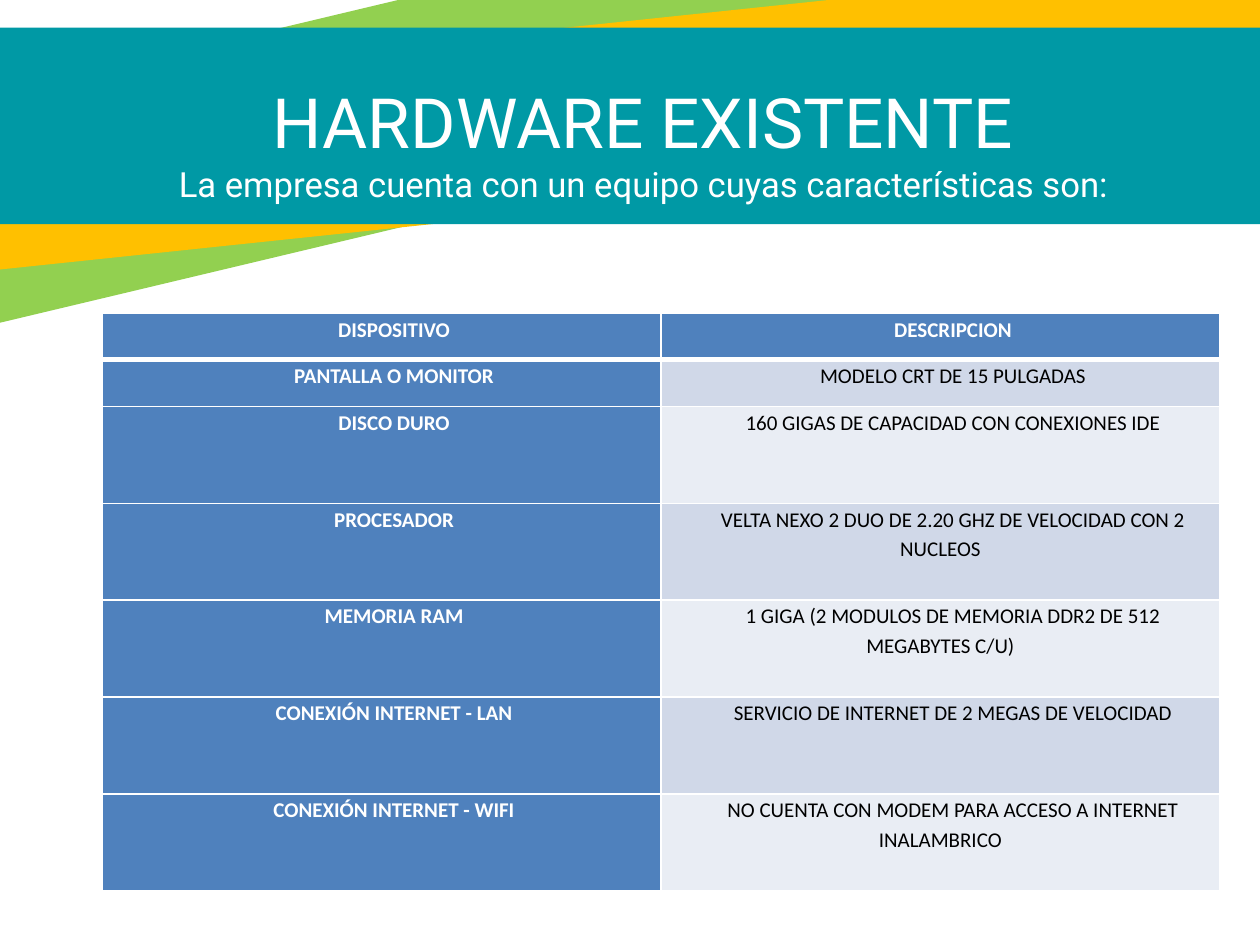
from lxml import etree
from pptx import Presentation
from pptx.dml.color import RGBColor
from pptx.enum import shapes, text
from pptx.oxml import ns
from pptx.util import Pt

HUES = {"green": "92D050", "gold": "FFC000", "teal": "0099A5", "blue": "4F81BD",
        "mid": "D0D8E8", "pale": "E9EDF4", "white": "FFFFFF", "black": "000000"}
ROWS = [
    ("DISPOSITIVO", "DESCRIPCION"),
    ("PANTALLA O MONITOR", "MODELO CRT DE 15 PULGADAS"),
    ("DISCO DURO", "160 GIGAS DE CAPACIDAD CON CONEXIONES IDE"),
    ("PROCESADOR", "VELTA NEXO 2 DUO DE 2.20 GHZ DE VELOCIDAD CON 2 NUCLEOS"),
    ("MEMORIA RAM", "1 GIGA (2 MODULOS DE MEMORIA DDR2 DE 512 MEGABYTES C/U)"),
    ("CONEXIÓN INTERNET - LAN", "SERVICIO DE INTERNET DE 2 MEGAS DE VELOCIDAD"),
    ("CONEXIÓN INTERNET - WIFI", "NO CUENTA CON MODEM PARA ACCESO A INTERNET INALAMBRICO"),
]


def rgb(name):
    return RGBColor.from_string(HUES[name])


def apply(item, form):
    for key, value in form.items():
        setattr(item, key, value)


def style(font, hue, **form):
    apply(font, form)
    font.color.rgb = rgb(hue)


def add_bands(slide, x, y):
    """Place the two tilted stripes and the level one over them."""
    bands = [(-104.4, -26.6, 940.3, 126.7, 346.6, "green"),
             (-2.9, 0.8, 837.4, 103.7, 354, "gold"),
             (0, 2.2, 837.4, 112.3, 0, "teal")]
    for dx, dy, wide, high, turn, hue in bands:
        band = slide.shapes.add_shape(shapes.MSO_SHAPE.RECTANGLE,
                                      Pt(x + dx), Pt(y + dy), Pt(wide), Pt(high))
        band.rotation = turn
        band.shadow.inherit = False
        band.fill.solid()
        band.fill.fore_color.rgb = rgb(hue)
        band.line.fill.background()


def set_title(slide, x, y, wide, high):
    title = slide.shapes.title
    title.element.getparent().append(title.element)  # in front of the bands
    apply(title, {"left": Pt(x), "top": Pt(y), "width": Pt(wide), "height": Pt(high)})
    frame = title.text_frame
    apply(frame, {"margin_top": 0, "margin_bottom": 0, "word_wrap": True,
                  "auto_size": text.MSO_AUTO_SIZE.NONE,
                  "vertical_anchor": text.MSO_ANCHOR.BOTTOM})
    para = frame.paragraphs[0]
    apply(para, {"alignment": text.PP_ALIGN.CENTER, "line_spacing": 1.0, "space_before": Pt(0)})
    head = para.add_run()
    head.text = "HARDWARE EXISTENTE"
    para.add_line_break()
    sub = para.add_run()
    sub.text = "La empresa cuenta con un equipo cuyas características son:"
    for run, size in ((head, 39.6), (sub, 19.8)):
        style(run.font, "white", name="Roboto", size=Pt(size))


def add_edges(cell, row):
    """Draw white cell borders, thick between header and body."""
    props = cell._tc.get_or_add_tcPr()
    thick = {(0, "B"), (1, "T")}
    for spot, side in enumerate("LRTB"):
        width = Pt(3 if (row, side) in thick else 1)
        edge = etree.Element(ns.qn(f"a:ln{side}"), w=str(width))
        fill = etree.SubElement(edge, ns.qn("a:solidFill"))
        etree.SubElement(fill, ns.qn("a:srgbClr"), val=HUES["white"])
        props.insert(spot, edge)


def fill_cell(cell, words, row, bold, hue):
    apply(cell, {"margin_left": Pt(5), "margin_right": Pt(5),
                 "margin_top": 0, "margin_bottom": 0})
    cell.fill.solid()
    cell.fill.fore_color.rgb = rgb(hue)
    add_edges(cell, row)
    para = cell.text_frame.paragraphs[0]
    apply(para, {"alignment": text.PP_ALIGN.CENTER, "line_spacing": 1.15, "space_after": Pt(10)})
    para._p.get_or_add_pPr().set("indent", str(Pt(14.4)))
    run = para.add_run()
    run.text = words
    style(run.font, "white" if bold else "black", name="Calibri", size=Pt(12), bold=bold)


def add_grid(slide, x, y, wide, high):
    low = 26.6
    tall = (high - 2 * low) / (len(ROWS) - 2)
    grid = slide.shapes.add_table(len(ROWS), 2, Pt(x), Pt(y), Pt(wide), Pt(high)).table
    for col in grid.columns:
        col.width = Pt(wide / 2)
    for r, pair in enumerate(ROWS):
        grid.rows[r].height = Pt(low if r < 2 else tall)
        for c, words in enumerate(pair):
            bold = r == 0 or c == 0
            hue = "blue" if bold else ("pale", "mid")[r % 2]
            fill_cell(grid.cell(r, c), words, r, bold, hue)


def main():
    deck = Presentation()
    deck.slide_width, deck.slide_height = Pt(720), Pt(540)
    slide = deck.slides.add_slide(deck.slide_layouts[5])
    add_bands(slide, -76.3, 13.6)
    set_title(slide, 15.1, 40.3, 704.9, 76.3)
    add_grid(slide, 58.3, 179, 638.8, 330.2)
    deck.save("out.pptx")


if __name__ == "__main__":
    main()
